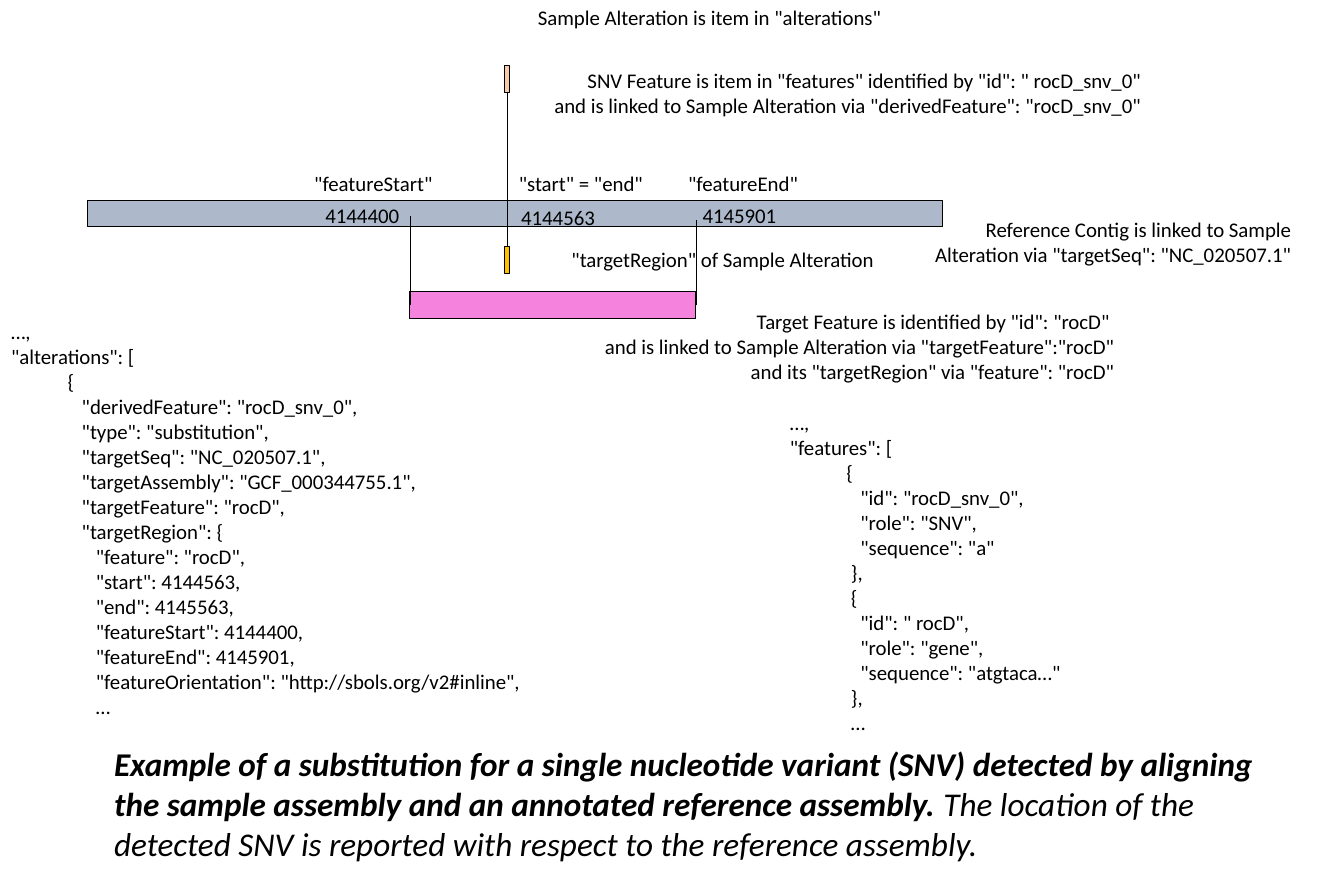
import pptx
import pptx.util
import pptx.dml.color
import pptx.enum.shapes
import pptx.enum.text
from pptx.util import Cm
from lxml import etree


def color(hex_string):
    return pptx.dml.color.RGBColor.from_string(hex_string)


class Diagram:
    FONT = "Calibri"
    SIZE = 20.1
    INK = "000000"
    LINE_HEIGHT = 0.86
    PADDING = 0.25
    INDENT = 0.16  # one step of code indentation, in cm

    def __init__(self, s):
        self.s = s

    def box(self, x, y, w, fill, h=0.91):
        sp = self.s.shapes.add_shape(
            pptx.enum.shapes.MSO_SHAPE.RECTANGLE, Cm(x), Cm(y), Cm(w), Cm(h))
        sp.shadow.inherit = False
        sp.fill.solid()
        sp.fill.fore_color.rgb = color(fill)
        sp.line.color.rgb = color(self.INK)
        sp.line.width = pptx.util.Pt(1)

    def vertical(self, x, y1, y2):
        sp = self.s.shapes.add_connector(
            pptx.enum.shapes.MSO_CONNECTOR.STRAIGHT, Cm(x), Cm(y1), Cm(x), Cm(y2))
        sp.line.color.rgb = color(self.INK)
        sp.line.width = pptx.util.Pt(0.5)
        etree.SubElement(sp._element.spPr, pptx.oxml.ns.qn("a:effectLst"))

    def run(self, p, text, size=SIZE, bold=False, italic=False):
        r = p.add_run()
        r.text = text
        r.font.name = self.FONT
        r.font.size = pptx.util.Pt(size)
        r.font.bold = bold
        r.font.italic = italic
        r.font.color.rgb = color(self.INK)

    def frame(self, x, y, w, h):
        sp = self.s.shapes.add_textbox(Cm(x), Cm(y), Cm(w), Cm(h))
        tf = sp.text_frame
        tf.word_wrap = True
        tf.auto_size = pptx.enum.text.MSO_AUTO_SIZE.SHAPE_TO_FIT_TEXT
        return tf

    def text(self, x, y, w, lines, right=False, rows=None):
        """Lines are strings, or (indent steps, string) pairs."""
        h = self.LINE_HEIGHT * (rows or len(lines)) + self.PADDING
        tf = self.frame(x, y, w, h)
        for i, line in enumerate(lines):
            steps, words = (0, line) if isinstance(line, str) else line
            p = tf.add_paragraph() if i else tf.paragraphs[0]
            if right:
                p.alignment = pptx.enum.text.PP_ALIGN.RIGHT
            if steps:
                p._p.get_or_add_pPr().set("marL", str(Cm(steps * self.INDENT)))
            self.run(p, words)

    def caption(self, x, y, w, h, strong, plain):
        p = self.frame(x, y, w, h).paragraphs[0]
        self.run(p, strong, 32, bold=True, italic=True)
        self.run(p, plain, 32, italic=True)


prs = pptx.Presentation()
prs.slide_width, prs.slide_height = Cm(45.72), Cm(30.48)
d = Diagram(prs.slides.add_slide(prs.slide_layouts[6]))

# Positions shared by the bars, their guide lines and labels
START_X, SNV_X, END_X = 13.94, 17.25, 23.67
CONTIG_Y, TARGET_Y, SNV_Y, REGION_Y = 6.81, 9.93, 2.24, 8.38
SNV_W = 0.2

# Reference contig, target feature, SNV and its target region
d.box(2.97, CONTIG_Y, 29.08, "ADB9CA")
d.box(START_X, TARGET_Y, END_X - START_X, "F583DD")
for y, fill in ((SNV_Y, "F8CBAD"), (REGION_Y, "FFC000")):
    d.box(SNV_X - SNV_W / 2, y, SNV_W, fill)

# Guide lines
d.vertical(START_X, 10.39, 7.34)
d.vertical(END_X, 10.39, 7.47)
d.vertical(SNV_X, REGION_Y, 3.15)

# Coordinates and their names
for x, y, value in ((10.82, 6.78, "4144400"), (17.48, 6.83, "4144563"),
                    (23.65, 6.76, "4145901")):
    d.text(x, y, 3.12, [value])
for x, w, name in ((10.44, 4.88, '"featureStart"'), (17.4, 5.33, '"start" = "end"'),
                   (23.16, 4.42, '"featureEnd"')):
    d.text(x, 5.69, w, [name])

# Explanations
d.text(17.17, 0.03, 13.21, ['Sample Alteration is item in "alterations" '], right=True)
d.text(16.26, 2.18, 22.96, [
    'SNV Feature is item in "features" identified by "id": " rocD_snv_0" ',
    'and is linked to Sample Alteration via "derivedFeature": "rocD_snv_0" ',
], right=True)
d.text(30.43, 7.24, 13.74, [
    'Reference Contig is linked to Sample Alteration via "targetSeq": "NC_020507.1"',
], right=True, rows=2)
d.text(17.32, 8.28, 12.65, ['"targetRegion" of Sample Alteration'], right=True)
d.text(14.88, 10.39, 23.27, [
    'Target Feature is identified by "id": "rocD" ',
    'and is linked to Sample Alteration via "targetFeature":"rocD"',
    'and its "targetRegion" via "feature": "rocD"',
], right=True)

# Code listings
d.text(0.13, 10.72, 22.48, [
    "…,",
    '"alterations": [',
    (12, "{"),
    (15, '"derivedFeature": "rocD_snv_0",'),
    (15, '"type": "substitution",'),
    (15, '"targetSeq": "NC_020507.1",'),
    (15, '"targetAssembly": "GCF_000344755.1",'),
    (15, '"targetFeature": "rocD",'),
    (15, '"targetRegion": {'),
    (18, '"feature": "rocD",'),
    (18, '"start": 4144563,'),
    (18, '"end": 4145563,'),
    (18, '"featureStart": 4144400,'),
    (18, '"featureEnd": 4145901,'),
    (18, '"featureOrientation": "http://sbols.org/v2#inline",'),
    (18, "…"),
])
d.text(26.62, 13.82, 15.04, [
    "…,",
    '"features": [',
    (12, "{"),
    (15, '"id": "rocD_snv_0",'),
    (15, '"role": "SNV",'),
    (15, '"sequence": "a"'),
    (13, "},"),
    (13, "{"),
    (15, '"id": " rocD",'),
    (15, '"role": "gene",'),
    (15, '"sequence": "atgtaca…"'),
    (13, "},"),
    (13, "…"),
])

# Caption
d.caption(
    3.63, 25.17, 40, 4.37,
    "Example of a substitution for a single nucleotide variant (SNV) detected by "
    "aligning the sample assembly and an annotated reference assembly. ",
    "The location of the detected SNV is reported with respect to the reference assembly.")

prs.save("out.pptx")
